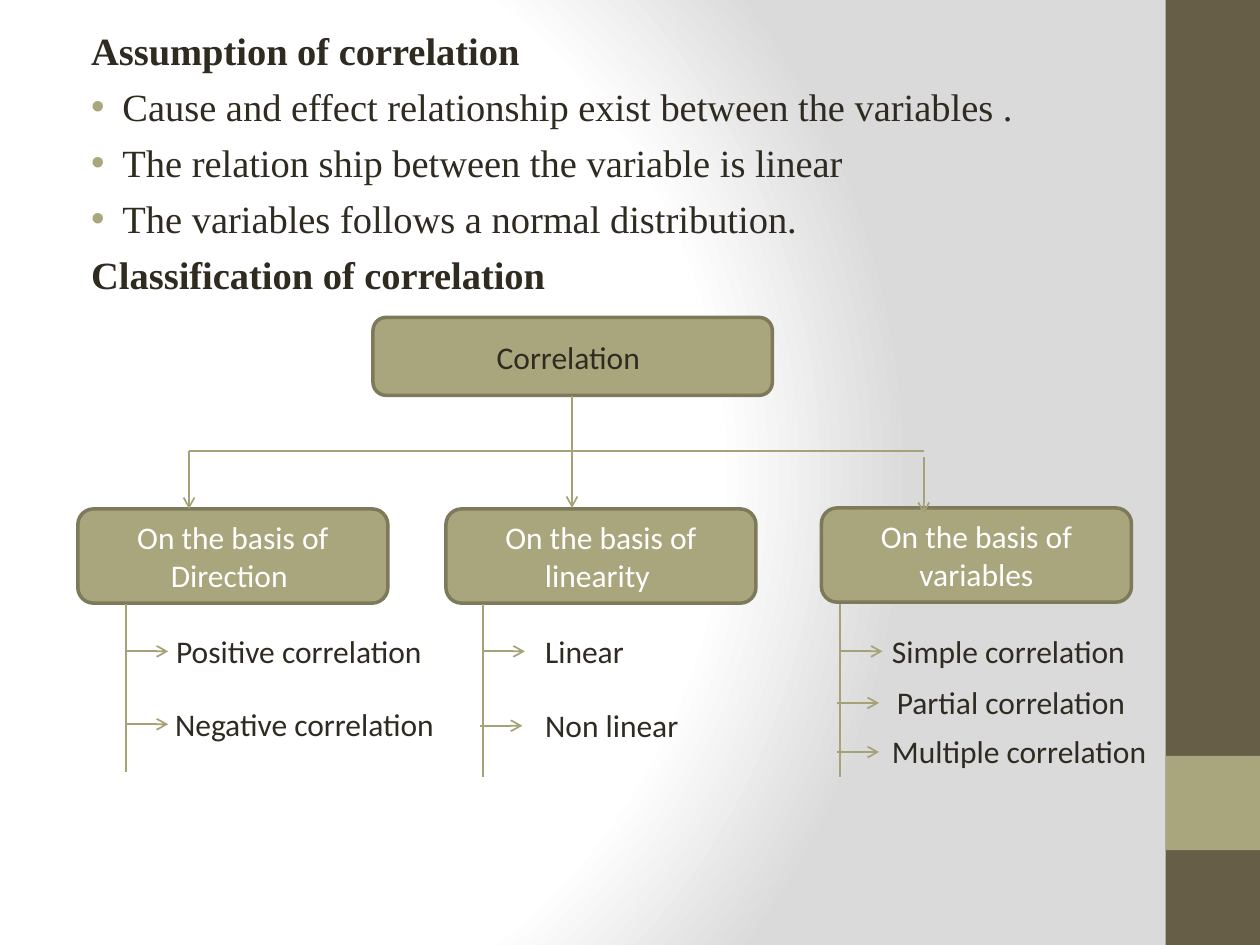
from dataclasses import dataclass
from typing import NamedTuple

from pptx import Presentation, oxml, util as u
from pptx.dml import color as col
from pptx.enum import shapes as sh, text as tx
from pptx.oxml import ns


@dataclass(frozen=True)
class Theme:
    ink: str = "2F2B20"
    white: str = "FFFFFF"
    grey: str = "DADADA"
    bar: str = "675E47"
    sage: str = "A9A57C"
    edge: str = "7D7A5C"
    line: str = "A6A278"
    serif: str = "Times New Roman"
    sans: str = "Calibri"
    big: float = 22
    small: float = 18


class Item(NamedTuple):
    label: str
    left: float
    width: float
    start: float
    mid: float


class Branch(NamedTuple):
    title: str
    left: float
    top: float
    stem: float
    end: float
    items: tuple[Item, ...]


THEME = Theme()
MID = 11.53
BUS = 9.09
BODY = (
    ("Assumption of correlation", True),
    ("Cause and effect relationship exist between the variables .", False),
    ("The relation ship between the variable is linear", False),
    ("The variables follows a normal distribution.", False),
    ("Classification of correlation", True),
)
TREE = (
    Branch("On the basis of Direction ", 1.57, 10.26, 2.54, 15.57, (
        Item("Positive correlation", 3.3, 7.77, 2.54, 13.13),
        Item("Negative correlation", 3.28, 5.92, 2.54, 14.6))),
    Branch("On the basis of linearity ", 8.99, 10.26, 9.73, 15.67, (
        Item("Linear", 10.74, 4.5, 9.73, 13.13),
        Item("Non linear", 10.74, 4.8, 9.68, 14.63))),
    Branch("On the basis of variables", 16.56, 10.24, 16.94, 15.67, (
        Item("Simple correlation", 17.73, 5.36, 16.94, 13.13),
        Item("Partial correlation", 17.83, 5.23, 16.87, 14.17),
        Item("Multiple correlation", 17.73, 7.67, 16.87, 15.16))),
)


def rgb(code: str) -> col.RGBColor:
    return col.RGBColor.from_string(code)


def style(para, size: float, face: str, ink: str, bold: bool = False) -> None:
    for run in para.runs:
        run.font.size = u.Pt(size)
        run.font.name = face
        run.font.bold = bold
        run.font.color.rgb = rgb(ink)


def back(slide) -> None:
    stops = ((0, THEME.white), (75, THEME.white), (100, THEME.grey))
    marks = "".join(
        f'<a:gs pos="{pos * 1000}"><a:srgbClr val="{code}"/></a:gs>'
        for pos, code in stops)
    slide.element.cSld.insert(0, oxml.parse_xml(
        f'<p:bg {ns.nsdecls("p", "a")}><p:bgPr><a:gradFill rotWithShape="1">'
        f'<a:gsLst>{marks}</a:gsLst><a:path path="circle">'
        '<a:fillToRect l="20000" t="50000" r="100000" b="50000"/></a:path>'
        '</a:gradFill><a:effectLst/></p:bgPr></p:bg>'))


def block(slide, kind, left: float, top: float, width: float, height: float,
          fill: str, edge: str = "", label: str = ""):
    box = slide.shapes.add_shape(
        kind, u.Cm(left), u.Cm(top), u.Cm(width), u.Cm(height))
    box.shadow.inherit = False
    box.fill.solid()
    box.fill.fore_color.rgb = rgb(fill)
    if edge:
        box.line.color.rgb = rgb(edge)
        box.line.width = u.Pt(2)
    else:
        box.line.fill.background()
    if label:
        frame = box.text_frame
        frame.word_wrap = True
        frame.vertical_anchor = tx.MSO_ANCHOR.MIDDLE
        frame.text = label
        para = frame.paragraphs[0]
        para.alignment = tx.PP_ALIGN.CENTER
        style(para, THEME.small, THEME.sans, THEME.white)
    return box


def note(slide, label: str, left: float, top: float, width: float,
         align=tx.PP_ALIGN.LEFT) -> None:
    frame = slide.shapes.add_textbox(
        u.Cm(left), u.Cm(top), u.Cm(width), u.Cm(1.03)).text_frame
    frame.word_wrap = True
    frame.text = label
    para = frame.paragraphs[0]
    para.alignment = align
    style(para, THEME.small, THEME.sans, THEME.ink)


def link(slide, x1: float, y1: float, x2: float, y2: float,
         head: bool = False) -> None:
    wire = slide.shapes.add_connector(
        sh.MSO_CONNECTOR.STRAIGHT, u.Cm(x1), u.Cm(y1), u.Cm(x2), u.Cm(y2))
    wire.line.color.rgb = rgb(THEME.line)
    wire.line.width = u.Pt(1)
    if head:
        wire.line._get_or_add_ln().append(oxml.parse_xml(
            f'<a:tailEnd {ns.nsdecls("a")} type="arrow"/>'))
    wire._element.spPr.append(
        oxml.parse_xml(f'<a:effectLst {ns.nsdecls("a")}/>'))


def body(slide) -> None:
    frame = slide.shapes.add_textbox(
        u.Cm(1.27), u.Cm(0.43), u.Cm(21.16), u.Cm(17.78)).text_frame
    frame.word_wrap = True
    for num, (label, bold) in enumerate(BODY):
        para = frame.add_paragraph() if num else frame.paragraphs[0]
        para.text = label
        props = para._p.get_or_add_pPr()
        props.set("marL", str(u.Cm(0.32 if bold else 0.95)))
        props.set("indent", str(u.Cm(0 if bold else -0.63)))
        if not bold:
            for mark in (
                    f'<a:buClr {ns.nsdecls("a")}>'
                    f'<a:srgbClr val="{THEME.sage}"/></a:buClr>',
                    f'<a:buFont {ns.nsdecls("a")} typeface="Arial"/>',
                    f'<a:buChar {ns.nsdecls("a")} char="•"/>'):
                props.append(oxml.parse_xml(mark))
        if num:
            para.space_before = u.Pt(5.5)
        style(para, THEME.big, THEME.serif, THEME.ink, bold)


def limb(slide, part: Branch) -> None:
    block(slide, sh.MSO_SHAPE.ROUNDED_RECTANGLE, part.left, part.top,
          6.25, 1.9, THEME.sage, THEME.edge, part.title)
    link(slide, part.stem, 12.17, part.stem, part.end)
    for item in part.items:
        link(slide, item.start, item.mid, item.start + 0.85, item.mid, True)
        note(slide, item.label, item.left, item.mid - 0.52, item.width)


def main() -> None:
    deck = Presentation()
    deck.slide_width, deck.slide_height = u.Cm(25.4), u.Cm(19.05)
    slide = deck.slides.add_slide(deck.slide_layouts[6])
    back(slide)
    rect = sh.MSO_SHAPE.RECTANGLE
    block(slide, rect, 23.5, 0, 1.9, 19.05, THEME.bar)
    block(slide, rect, 23.5, 15.24, 1.9, 1.9, THEME.sage)
    block(slide, sh.MSO_SHAPE.ROUNDED_RECTANGLE, 7.52, 6.4, 8.05, 1.57,
          THEME.sage, THEME.edge)
    body(slide)
    note(slide, "Correlation ", 7.82, 6.68, 7.42, tx.PP_ALIGN.CENTER)
    for part in TREE:
        limb(slide, part)
    link(slide, MID, 7.98, MID, BUS)
    link(slide, 3.81, BUS, 18.62, BUS)
    for left, top, end in (
            (3.81, BUS, 10.26), (MID, BUS, 10.24), (18.62, 9.22, 10.36)):
        link(slide, left, top, left, end, True)
    deck.save("out.pptx")


if __name__ == "__main__":
    main()
